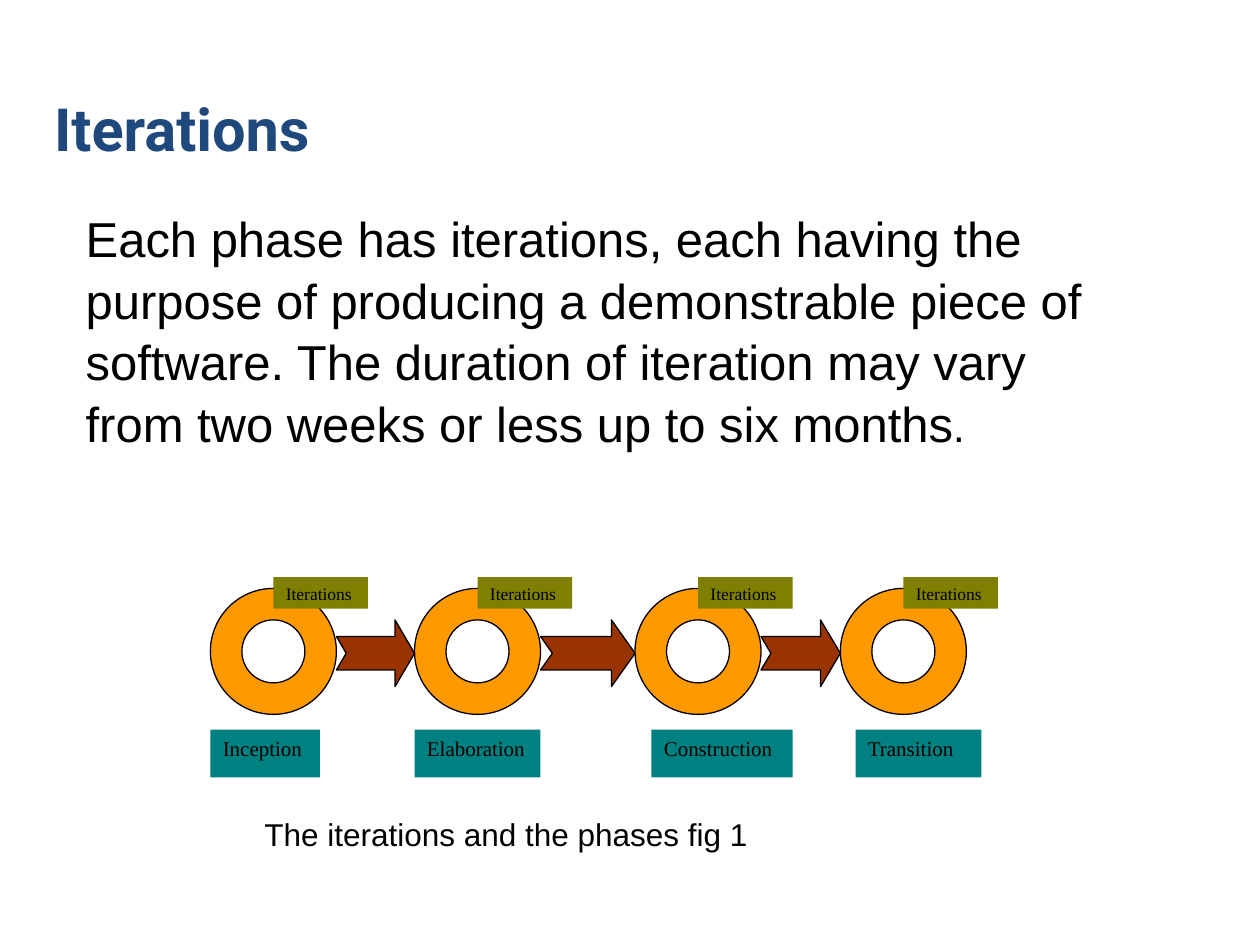
from lxml import etree
from pptx import Presentation
from pptx.dml.color import RGBColor
from pptx.enum.shapes import MSO_SHAPE as Shape
from pptx.enum.text import MSO_ANCHOR as Anchor, MSO_AUTO_SIZE as AutoSize, PP_ALIGN as Align
from pptx.oxml.ns import qn
from pptx.util import Inches, Pt

TITLE = "Iterations"
BODY = ("Each phase has iterations, each having the purpose of producing a demonstrable "
        "piece of software. The duration of iteration may vary from two weeks or less "
        "up to six months")
CAPTION = "The iterations and the phases fig 1"
RING_TAG = "Iterations"
# Phase name, ring left, label left, label width
PHASES = [
    ("Inception", 1.67, 1.67, 0.87),
    ("Elaboration", 3.29, 3.29, 1),
    ("Construction", 5.04, 5.17, 1.12),
    ("Transition", 6.67, 6.79, 1),
]
COLORS = {"title": "1F497D", "text": "000000", "ring": "FF9900",
          "arrow": "993300", "phase": "008080", "tag": "808000"}

RING_TOP, RING_SIZE = 4.67, 1
ARROW_TOP, ARROW_HEIGHT = 4.92, 0.53
PHASE_TOP, PHASE_HEIGHT = 5.79, 0.38
TAG_TOP, TAG_WIDTH, TAG_HEIGHT = 4.58, 0.75, 0.25


def rgb(role):
    return RGBColor.from_string(COLORS[role])


def place(shape, left, top, width, height):
    shape.left, shape.top = Inches(left), Inches(top)
    shape.width, shape.height = Inches(width), Inches(height)


def write(shape, text, size, font, color="text", bold=False, anchor=Anchor.TOP):
    """Put one left-aligned paragraph in the shape and return it."""
    frame = shape.text_frame
    frame.word_wrap = True
    frame.auto_size = AutoSize.NONE
    frame.vertical_anchor = anchor
    paragraph = frame.paragraphs[0]
    paragraph.text = text
    paragraph.alignment = Align.LEFT
    paragraph.space_before = Pt(0)
    paragraph.font.size = Pt(size)
    paragraph.font.name = font
    paragraph.font.bold = bold
    paragraph.font.color.rgb = rgb(color)
    return paragraph


def draw(slide, preset, box, fill, outlined=False):
    shape = slide.shapes.add_shape(preset, *(Inches(length) for length in box))
    shape.shadow.inherit = False
    shape.fill.solid()
    shape.fill.fore_color.rgb = rgb(fill)
    if outlined:
        shape.line.color.rgb = rgb("text")
        shape.line.width = Pt(0.75)
    else:
        shape.line.fill.background()
    return shape


def add_body(slide):
    body = slide.placeholders[1]
    place(body, 0.58, 1.58, 8.17, 2.17)
    paragraph = body.text_frame.paragraphs[0]
    properties = paragraph._p.get_or_add_pPr()
    properties.set("marL", "0")
    properties.set("indent", "0")
    etree.SubElement(properties, qn("a:buNone"))
    write(body, BODY, 28, "Arial")
    paragraph.line_spacing = 1.05
    full_stop = paragraph.add_run()
    full_stop.text = "."
    full_stop.font.size = Pt(24)


def add_diagram(slide):
    ring_lefts = [ring_left for _, ring_left, _, _ in PHASES]
    for left in ring_lefts:
        draw(slide, Shape.DONUT, (left, RING_TOP, RING_SIZE, RING_SIZE), "ring", outlined=True)
    for left, next_left in zip(ring_lefts, ring_lefts[1:]):
        start = left + RING_SIZE
        width = next_left - start
        arrow = draw(slide, Shape.NOTCHED_RIGHT_ARROW,
                     (start, ARROW_TOP, width, ARROW_HEIGHT), "arrow", outlined=True)
        arrow.adjustments[1] = 0.25 * width / ARROW_HEIGHT  # head is a quarter of the length
    for name, ring_left, label_left, label_width in PHASES:
        label = draw(slide, Shape.RECTANGLE,
                     (label_left, PHASE_TOP, label_width, PHASE_HEIGHT), "phase")
        write(label, name, 12, "Times New Roman")
        tag = draw(slide, Shape.RECTANGLE,
                   (ring_left + RING_SIZE / 2, TAG_TOP, TAG_WIDTH, TAG_HEIGHT), "tag")
        write(tag, RING_TAG, 10, "Times New Roman")


def main():
    presentation = Presentation()
    presentation.slide_width, presentation.slide_height = Inches(10), Inches(7.5)
    slide = presentation.slides.add_slide(presentation.slide_layouts[1])

    title = slide.shapes.title
    place(title, 0.33, 0.68, 7.99, 0.67)
    write(title, TITLE, 34, "Roboto", "title", bold=True, anchor=Anchor.BOTTOM)
    add_body(slide)
    add_diagram(slide)
    caption = slide.shapes.add_textbox(Inches(2), Inches(6.42), Inches(4.33), Inches(0.86))
    write(caption, CAPTION, 18, "Arial")

    presentation.save("out.pptx")


if __name__ == "__main__":
    main()
